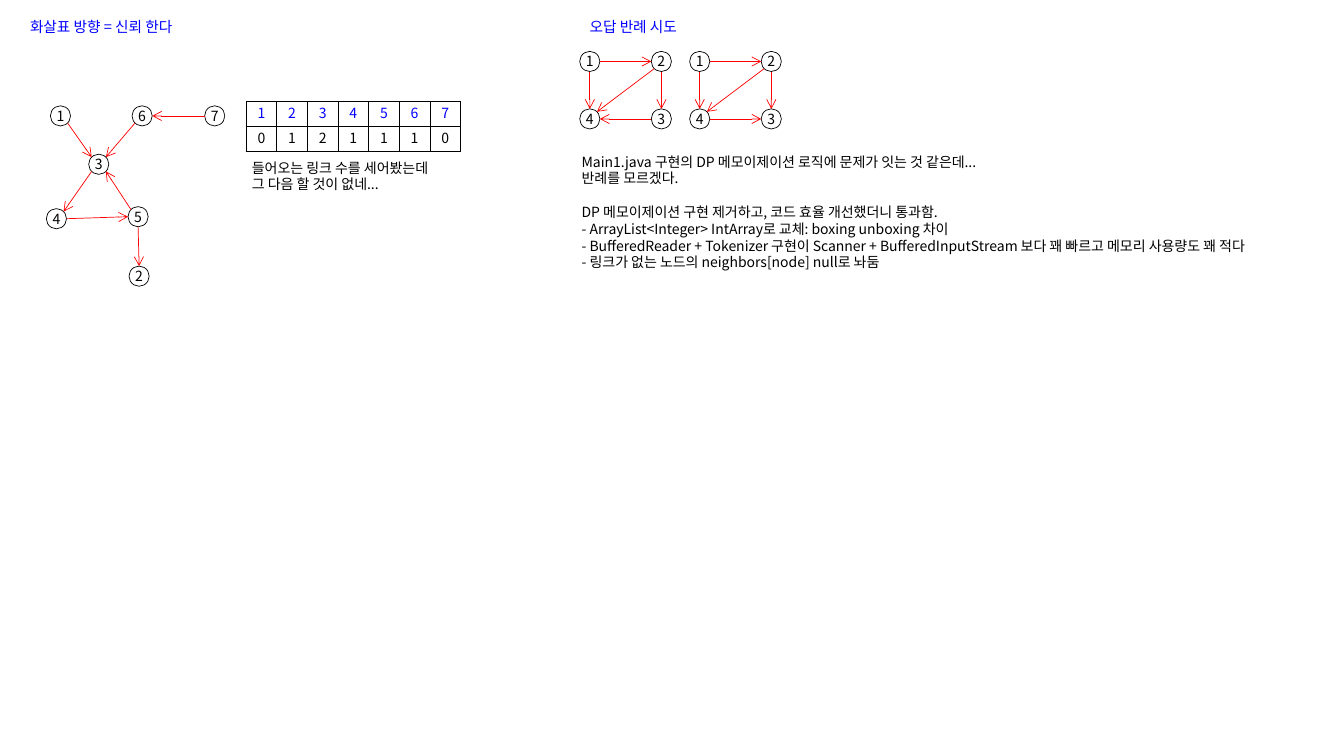
from dataclasses import dataclass
from math import atan2, cos, pi, sin
from typing import Any

from lxml.etree import SubElement
from pptx import Presentation
from pptx.dml.color import RGBColor
from pptx.enum.shapes import MSO_CONNECTOR, MSO_SHAPE
from pptx.enum.text import MSO_ANCHOR, MSO_AUTO_SIZE, PP_ALIGN
from pptx.oxml.ns import qn
from pptx.util import Inches, Pt

BLACK = RGBColor(0, 0, 0)
BLUE = RGBColor(0, 0, 255)
RED = RGBColor(255, 0, 0)
WHITE = RGBColor(255, 255, 255)
FONT = "Noto Sans CJK KR"
RADIUS = 0.1
THIN = Pt(0.5)

NOTE_FRAME = {"word_wrap": False, "auto_size": MSO_AUTO_SIZE.SHAPE_TO_FIT_TEXT}
NODE_FRAME = {"word_wrap": False, "vertical_anchor": MSO_ANCHOR.MIDDLE,
              "margin_left": 0, "margin_right": 0,
              "margin_top": 0, "margin_bottom": 0}
CELL_MARGINS = {f"margin_{side}": Inches(0.04)
                for side in ("left", "right", "top", "bottom")}


@dataclass(frozen=True)
class Note:
    left: float
    top: float
    width: float
    height: float
    blocks: tuple[tuple[str, ...], ...]
    size: float = 10
    color: RGBColor = BLACK


@dataclass(frozen=True)
class Graph:
    centers: dict[int, tuple[float, float]]
    edges: tuple[tuple[int, int], ...]


def square(left: float, top: float) -> dict[int, tuple[float, float]]:
    """Centres of four nodes, numbered clockwise from the top left."""
    right, bottom = left + 0.71, top + 0.57
    return {1: (left, top), 2: (right, top), 3: (right, bottom), 4: (left, bottom)}


NOTES = (
    Note(0.2, 0.13, 1.84, 0.28, (("화살표 방향 = 신뢰 한다",),), 10.5, BLUE),
    Note(5.75, 0.13, 1.19, 0.28, (("오답 반례 시도",),), 10.5, BLUE),
    Note(2.4, 1.53, 2.17, 0.44,
         (("들어오는 링크 수를 세어봤는데", "그 다음 할 것이 없네..."),)),
    Note(5.67, 1.47, 7.21, 1.95, (
        ("Main1.java 구현의 DP 메모이제이션 로직에 문제가 잇는 것 같은데...",
         "반례를 모르겠다."),
        ("DP 메모이제이션 구현 제거하고, 코드 효율 개선했더니 통과함.",
         "- ArrayList<Integer> IntArray로 교체: boxing unboxing 차이",
         "- BufferedReader + Tokenizer 구현이 Scanner + BufferedInputStream "
         "보다 꽤 빠르고 메모리 사용량도 꽤 적다",
         "- 링크가 없는 노드의 neighbors[node] null로 놔둠"),
    )),
)

GRAPHS = (
    Graph({1: (0.6, 1.15), 2: (1.38, 2.74), 3: (0.98, 1.63), 4: (0.56, 2.17),
           5: (1.37, 2.15), 6: (1.41, 1.15), 7: (2.13, 1.15)},
          ((1, 3), (4, 5), (3, 4), (5, 3), (5, 2), (6, 3), (7, 6))),
    Graph(square(5.85, 0.61), ((3, 4), (1, 4), (1, 2), (2, 3), (2, 4))),
    Graph(square(6.94, 0.61), ((4, 3), (1, 4), (1, 2), (2, 3), (2, 4))),
)

LINK_COUNTS = {1: 0, 2: 1, 3: 2, 4: 1, 5: 1, 6: 1, 7: 0}


def apply_format(target: Any, values: dict[str, Any]) -> None:
    for name, value in values.items():
        setattr(target, name, value)


def write(para: Any, text: str, size: float = 10, color: RGBColor = BLACK,
          align: PP_ALIGN = PP_ALIGN.LEFT) -> None:
    apply_format(para, {"alignment": align, "line_spacing": Pt(size * 1.2)})
    span = para.add_run()
    span.text = text
    apply_format(span.font, {"name": FONT, "size": Pt(size)})
    span.font.color.rgb = color
    SubElement(span.font._element, qn("a:ea"), typeface=FONT)


def draw_note(page: Any, note: Note) -> None:
    box = page.shapes.add_textbox(Inches(note.left), Inches(note.top),
                                  Inches(note.width), Inches(note.height))
    frame = box.text_frame
    apply_format(frame, NOTE_FRAME)
    para = frame.paragraphs[0]
    for block_index, block in enumerate(note.blocks):
        for line_index, text in enumerate(block):
            if block_index or line_index:
                para = frame.add_paragraph()
            if block_index and not line_index:
                para.space_before = Pt(12)
            write(para, text, note.size, note.color)


def draw_node(page: Any, number: int, center: tuple[float, float]) -> None:
    x, y = center
    node = page.shapes.add_shape(
        MSO_SHAPE.OVAL, Inches(x - RADIUS), Inches(y - RADIUS),
        Inches(2 * RADIUS), Inches(2 * RADIUS))
    node.shadow.inherit = False
    node.fill.solid()
    node.fill.fore_color.rgb = WHITE
    node.line.color.rgb = BLACK
    node.line.width = THIN
    apply_format(node.text_frame, NODE_FRAME)
    write(node.text_frame.paragraphs[0], str(number), align=PP_ALIGN.CENTER)


def draw_arrow(page: Any, start: tuple[float, float], end: tuple[float, float]) -> None:
    # Arrows leave and enter circles at the nearest of eight 45-degree points
    (x1, y1), (x2, y2) = start, end
    angle = round(atan2(y2 - y1, x2 - x1) / (pi / 4)) * pi / 4
    dx, dy = RADIUS * cos(angle), RADIUS * sin(angle)
    arrow = page.shapes.add_connector(
        MSO_CONNECTOR.STRAIGHT, Inches(x1 + dx), Inches(y1 + dy),
        Inches(x2 - dx), Inches(y2 - dy))
    arrow.line.color.rgb = RED
    arrow.line.width = THIN
    SubElement(arrow.line._get_or_add_ln(), qn("a:tailEnd"), type="arrow")
    SubElement(arrow._element.spPr, qn("a:effectLst"))


def draw_graph(page: Any, graph: Graph) -> None:
    for number, center in graph.centers.items():
        draw_node(page, number, center)
    for source, target in graph.edges:
        draw_arrow(page, graph.centers[source], graph.centers[target])


def fill_cell(cell: Any, text: str, color: RGBColor) -> None:
    properties = cell._tc.get_or_add_tcPr()
    for side in ("lnL", "lnR", "lnT", "lnB"):
        border = SubElement(properties, qn(f"a:{side}"), w=str(THIN))
        paint = SubElement(border, qn("a:solidFill"))
        SubElement(paint, qn("a:srgbClr"), val=str(BLACK))
    cell.fill.solid()
    cell.fill.fore_color.rgb = WHITE
    apply_format(cell, CELL_MARGINS)
    write(cell.text_frame.paragraphs[0], text, color=color, align=PP_ALIGN.CENTER)


def draw_link_table(page: Any) -> None:
    rows = ((LINK_COUNTS.keys(), BLUE), (LINK_COUNTS.values(), BLACK))
    table = page.shapes.add_table(
        len(rows), len(LINK_COUNTS), Inches(2.44), Inches(1.01),
        Inches(2.13), Inches(0.49)).table
    for row, (numbers, color) in enumerate(rows):
        for column, number in enumerate(numbers):
            fill_cell(table.cell(row, column), str(number), color)


def main() -> None:
    deck = Presentation()
    deck.slide_width, deck.slide_height = Inches(13.33), Inches(7.5)
    page = deck.slides.add_slide(deck.slide_layouts[6])

    # Headings and remarks
    for note in NOTES:
        draw_note(page, note)

    # Trust graphs and incoming link counts
    for graph in GRAPHS:
        draw_graph(page, graph)
    draw_link_table(page)

    deck.save("out.pptx")


if __name__ == "__main__":
    main()
